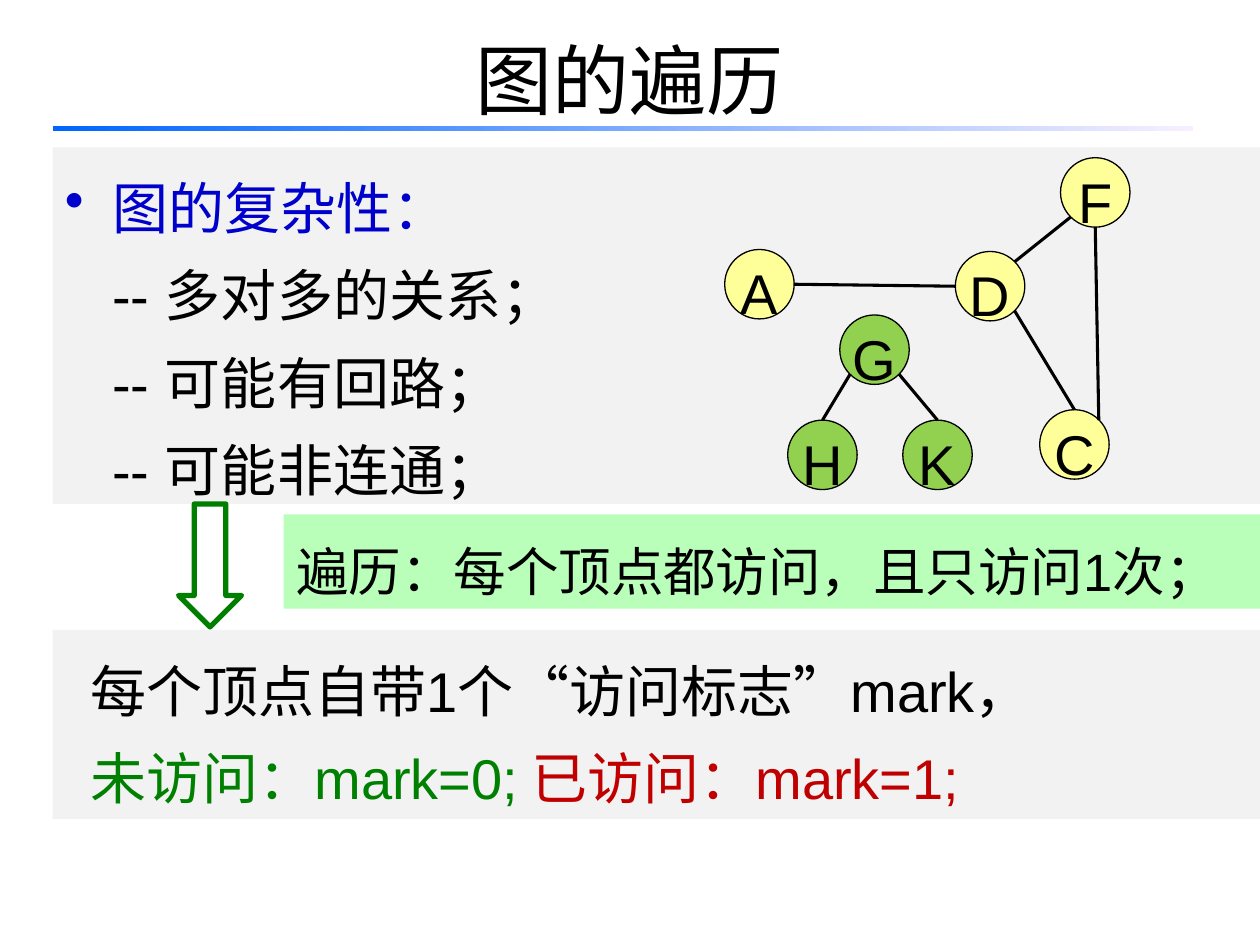
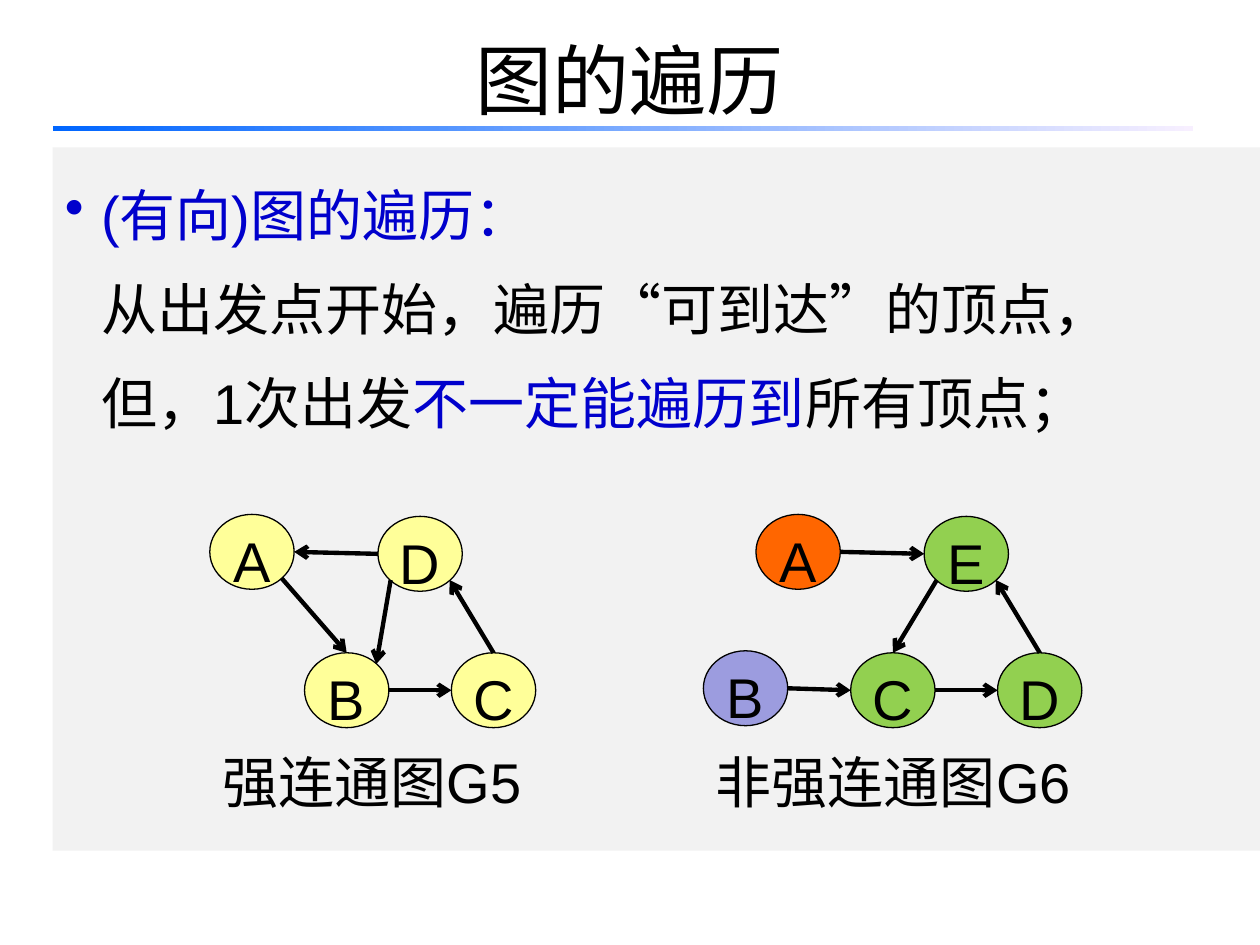
import pptx
import pptx.util
import pptx.dml.color
import pptx.enum.shapes
import pptx.enum.text
from lxml import etree
from pptx.util import Cm, Pt
from pptx.dml.color import RGBColor
from pptx.enum.shapes import MSO_SHAPE, MSO_CONNECTOR
from pptx.enum.text import MSO_ANCHOR, PP_ALIGN
from pptx.oxml.ns import qn

BLACK = RGBColor(0, 0, 0)
BLUE = RGBColor(0x00, 0x00, 0xCC)
GREEN = RGBColor(0x00, 0x80, 0x00)
RED = RGBColor(0xC0, 0x00, 0x00)
GRAY = RGBColor(0xF2, 0xF2, 0xF2)
MINT = RGBColor(0xB9, 0xFF, 0xB9)
PINE = RGBColor(0x00, 0x7E, 0x00)
CREAM = RGBColor(0xFF, 0xFF, 0x99)
LIME = RGBColor(0x92, 0xD0, 0x50)
FLAME = RGBColor(0xFF, 0x66, 0x00)
LILAC = RGBColor(0x9C, 0x9C, 0xDF)
RULE_FROM = RGBColor(0x00, 0x66, 0xFF)
RULE_TO = RGBColor(0xF7, 0xEF, 0xFF)
FONT = "Arial"
LEFT, WIDE = 1.06, 24.34

# Points on a node's rim, as shares of its width and height
RIM = {"top": (0.5, 0), "left": (0, 0.5), "right": (1, 0.5), "low": (0.5, 1),
       "ne": (0.85, 0.15), "sw": (0.15, 0.85), "se": (0.85, 0.85)}


def write(frame, *runs, size=32, color=BLACK, align=PP_ALIGN.LEFT,
          space=None, left=0, bullet=False, tab=None):
    """Add a paragraph; a run is a text or a (text, color) pair."""
    par = frame.paragraphs[0] if not frame.text else frame.add_paragraph()
    par.alignment = align
    par.line_spacing = space
    props = par._p.get_or_add_pPr()
    props.set("marL", str(Cm(left)))
    props.set("indent", str(-Cm(left) if bullet else 0))
    if bullet:
        etree.SubElement(props, qn("a:buChar"), char="•")
    else:
        etree.SubElement(props, qn("a:buNone"))
    if tab:
        tabs = etree.SubElement(props, qn("a:tabLst"))
        etree.SubElement(tabs, qn("a:tab"), pos=str(Cm(tab)), algn="l")
    for item in runs:
        text, tint = (item, color) if isinstance(item, str) else item
        run = par.add_run()
        run.text = text
        run.font.name = FONT
        run.font.size = Pt(size)
        run.font.color.rgb = tint


def draw(slide, form, x, y, w, h, fill=None, line=None, weight=0.75):
    """Add a preset shape, in cm, with its text at the top."""
    shape = slide.shapes.add_shape(form, Cm(x), Cm(y), Cm(w), Cm(h))
    shape.shadow.inherit = False
    if fill is None:
        shape.fill.background()
    else:
        shape.fill.solid()
        shape.fill.fore_color.rgb = fill
    if line is None:
        shape.line.fill.background()
    else:
        shape.line.color.rgb = line
        shape.line.width = Pt(weight)
    shape.text_frame.vertical_anchor = MSO_ANCHOR.TOP
    return shape


deck = pptx.Presentation()
deck.slide_width, deck.slide_height = Cm(25.4), Cm(19.05)

# Title and rule on every slide
for _ in range(2):
    slide = deck.slides.add_slide(deck.slide_layouts[5])
    title = slide.shapes.title
    title.left, title.top = Cm(1.27), Cm(0)
    title.width, title.height = Cm(22.86), Cm(3.18)
    title.text_frame.vertical_anchor = MSO_ANCHOR.MIDDLE
    write(title.text_frame, "图的遍历", size=44, align=PP_ALIGN.CENTER)
    rule = draw(slide, MSO_SHAPE.RECTANGLE, LEFT, 2.54, 22.99, 0.1)
    rule.fill.gradient()
    rule.fill.gradient_angle = 0
    for stop, tint in zip(rule.fill.gradient_stops, (RULE_FROM, RULE_TO)):
        stop.color.rgb = tint
first, second = deck.slides

# Slide 1: why graphs are complex, and the visit mark
frame = draw(first, MSO_SHAPE.RECTANGLE, LEFT, 2.97, WIDE, 7.19, GRAY).text_frame
write(frame, "图的复杂性：", color=BLUE, align=PP_ALIGN.JUSTIFY, space=1.3,
      left=0.95, bullet=True)
for trait in ("多对多的关系；", "可能有回路；", "可能非连通；"):
    write(frame, "-- " + trait, align=PP_ALIGN.JUSTIFY, space=1.3, left=0.95)

draw(first, MSO_SHAPE.DOWN_ARROW, 3.6, 10.16, 1.27, 2.48, line=PINE, weight=3)

frame = draw(first, MSO_SHAPE.RECTANGLE, 5.72, 10.37, 19.68, 1.9, MINT).text_frame
write(frame, "遍历：每个顶点都访问，且只访问1次；", size=30,
      align=PP_ALIGN.JUSTIFY, space=1.3)

frame = draw(first, MSO_SHAPE.RECTANGLE, LEFT, 12.7, WIDE, 3.81, GRAY).text_frame
frame.margin_left = Cm(0.76)
write(frame, "每个顶点自带1个“访问标志”mark，", align=PP_ALIGN.JUSTIFY, space=1.3)
write(frame, ("未访问：mark=0;\t", GREEN), ("已访问：mark=1;", RED),
      space=1.3, tab=10.46)

# Slide 2: traversal of directed graphs
frame = draw(second, MSO_SHAPE.RECTANGLE, LEFT, 2.97, WIDE, 14.18, GRAY).text_frame
write(frame, "(有向)图的遍历：", color=BLUE, space=1.4, left=0.73, bullet=True)
write(frame, "从出发点开始，遍历“可到达”的顶点，", space=1.4, left=0.73)
write(frame, "但，1次出发", ("不一定能遍历到", BLUE), "所有顶点；",
      space=1.4, left=0.73)

for x, w, label in ((4.23, 8.26, "强连通图G5"), (14.18, 9.53, "非强连通图G6")):
    box = second.shapes.add_textbox(Cm(x), Cm(14.61), Cm(w), Cm(1.95))
    box.text_frame.word_wrap = True
    write(box.text_frame, label, space=1.25)

# Graphs: slide, node size, line width, arrows, nodes, edges
graphs = [
    (first, (1.4, 1.4), 1.75, False,
     {"A": (14.61, 5.03, CREAM), "D": (19.26, 5.07, CREAM),
      "C": (20.96, 8.26, CREAM), "F": (21.38, 3.18, CREAM),
      "K": (18.2, 8.47, LIME), "G": (16.93, 6.35, LIME),
      "H": (15.88, 8.47, LIME)},
     ["D se C top", "D left A right", "D ne F sw", "K top G se",
      "H top G sw", "F low C ne"]),
    (second, (1.7, 1.51), 2.5, True,
     {"A": (4.23, 10.37, CREAM), "D": (7.62, 10.41, CREAM),
      "B": (6.14, 13.16, CREAM), "C": (9.1, 13.16, CREAM)},
     ["D left A right", "C top D se", "A se B top", "D sw B ne",
      "B right C left"]),
    (second, (1.7, 1.51), 2.5, True,
     {"A": (15.24, 10.37, FLAME), "E": (18.63, 10.41, LIME),
      "C": (17.15, 13.16, LIME), "D": (20.11, 13.16, LIME),
      "B": (14.18, 13.12, LILAC)},
     ["A right E left", "D top E se", "E sw C top", "C right D left",
      "B right C left"]),
]
for slide, (w, h), weight, arrow, nodes, edges in graphs:
    for name, (x, y, fill) in nodes.items():
        frame = draw(slide, MSO_SHAPE.OVAL, x, y, w, h, fill, BLACK).text_frame
        frame.vertical_anchor = MSO_ANCHOR.MIDDLE
        frame.word_wrap = False
        write(frame, name, align=PP_ALIGN.CENTER, space=1.25)
    for edge in edges:
        tail, start, head, end = edge.split()
        ends = []
        for name, side in ((tail, start), (head, end)):
            x, y, _ = nodes[name]
            across, down = RIM[side]
            ends += [Cm(x + w * across), Cm(y + h * down)]
        link = slide.shapes.add_connector(MSO_CONNECTOR.STRAIGHT, *ends)
        link.line.color.rgb = BLACK
        link.line.width = Pt(weight)
        if arrow:
            etree.SubElement(link.line._get_or_add_ln(), qn("a:tailEnd"), type="arrow")
        etree.SubElement(link._element.spPr, qn("a:effectLst"))

deck.save("out.pptx")
